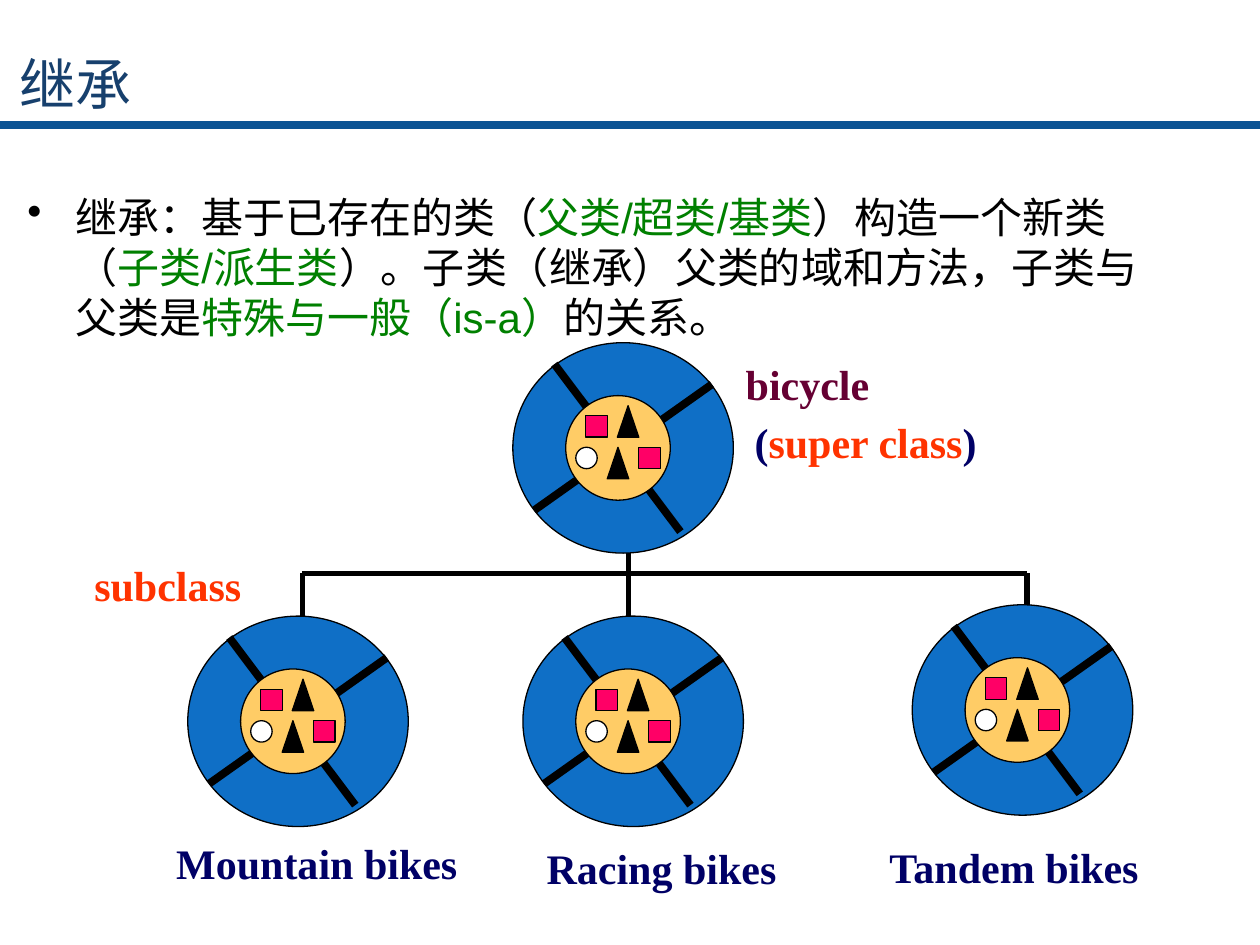
from lxml import etree
from pptx import Presentation
from pptx.dml.color import RGBColor
from pptx.enum.shapes import MSO_CONNECTOR, MSO_SHAPE
from pptx.enum.text import MSO_ANCHOR, PP_ALIGN
from pptx.oxml.ns import qn
from pptx.util import Inches, Pt

STRAIGHT = MSO_CONNECTOR.STRAIGHT
ELLIPSE = MSO_SHAPE.OVAL
SQUARE = MSO_SHAPE.RECTANGLE
TRIANGLE = MSO_SHAPE.ISOSCELES_TRIANGLE
MIDDLE = MSO_ANCHOR.MIDDLE
CENTER = PP_ALIGN.CENTER

BLACK, GREEN, NAVY, ORANGE = "000000", "008000", "000066", "FF3300"
CHINESE_FONT = "Noto Sans CJK SC"
LABEL_FONT = "Times New Roman"

SPOKES = [((0.17, 1.33), (1.58, 0.33)), ((0.33, 0.17), (1.33, 1.5))]
WHEEL_PARTS = [
    (SQUARE, 0.58, 0.58, 0.17, 0.17, "FF0066"),
    (TRIANGLE, 0.75, 0.83, 0.17, 0.25, BLACK),
    (TRIANGLE, 0.83, 0.5, 0.17, 0.25, BLACK),
    (SQUARE, 1.0, 0.83, 0.17, 0.17, "FF0066"),
    (ELLIPSE, 0.5, 0.83, 0.17, 0.17, "FFFFFF"),
]
WHEELS = [(4.07, 2.72), (1.49, 4.89), (4.15, 4.89), (7.24, 4.8)]
TREE_LINES = [
    ((2.4, 4.55), (8.15, 4.55)),
    ((4.99, 4.39), (4.99, 4.89)),
    ((2.4, 4.55), (2.4, 4.89)),
    ((8.15, 4.55), (8.15, 4.8)),
]
LABELS = [
    (5.82, 2.8, 1.18, [("bicycle", "660033")]),
    (5.89, 3.26, 1.97, [("(", NAVY), ("super class", ORANGE), (")", NAVY)]),
    (1.3, 6.6, 2.43, [("Mountain bikes", NAVY)]),
    (4.24, 6.64, 2.03, [("Racing bikes", NAVY)]),
    (6.96, 6.63, 2.21, [("Tandem bikes", NAVY)]),
    (0.65, 4.39, 1.37, [("subclass", ORANGE)]),
]
DEFINITION = [
    ("继承：基于已存在的类（", BLACK),
    ("父类/超类/基类", GREEN),
    ("）构造一个新类（", BLACK),
    ("子类/派生类", GREEN),
    ("）。子类（继承）父类的域和方法，子类与父类是", BLACK),
    ("特殊与一般（is-a）", GREEN),
    ("的关系。", BLACK),
]


def color(value):
    """Turn a hex string into a colour."""
    return RGBColor.from_string(value)


def add_line(shapes, start, end, line_color, width):
    """Add a straight line without shadow."""
    line = shapes.add_connector(STRAIGHT, *map(Inches, start + end))
    line.line.color.rgb = color(line_color)
    line.line.width = Pt(width)
    etree.SubElement(line._element.spPr, qn("a:effectLst"))


def add_filled_shape(shapes, kind, left, top, width, height, fill):
    """Add a filled shape with a thin black outline."""
    shape = shapes.add_shape(kind, *map(Inches, (left, top, width, height)))
    shape.shadow.inherit = False
    shape.fill.solid()
    shape.fill.fore_color.rgb = color(fill)
    shape.line.color.rgb = color(BLACK)
    shape.line.width = Pt(0.75)


def add_wheel(slide, left, top):
    """Add a grouped wheel whose rim starts at the given corner."""
    shapes = slide.shapes.add_group_shape().shapes
    add_filled_shape(shapes, ELLIPSE, left, top, 1.75, 1.67, "0F6FC6")
    for (x1, y1), (x2, y2) in SPOKES:
        add_line(shapes, (left + x1, top + y1), (left + x2, top + y2), BLACK, 4.5)
    add_filled_shape(shapes, ELLIPSE, left + 0.42, top + 0.42, 0.83, 0.83, "FFCC66")
    for kind, x, y, width, height, fill in WHEEL_PARTS:
        add_filled_shape(shapes, kind, left + x, top + y, width, height, fill)


def add_text(slide, box, runs, size, font, wrap=True):
    """Add a text box with one paragraph of coloured runs."""
    frame = slide.shapes.add_textbox(*map(Inches, box)).text_frame
    frame.word_wrap = wrap
    paragraph = frame.paragraphs[0]
    paragraph.font.size = Pt(size)
    paragraph.font.name = font
    for text, run_color in runs:
        run = paragraph.add_run()
        run.text = text
        run.font.color.rgb = color(run_color)
    return frame


def set_chinese_font(paragraph):
    """Set the East Asian typeface of every run."""
    for run in paragraph.runs:
        properties = run._r.get_or_add_rPr()
        etree.SubElement(properties, qn("a:ea"), typeface=CHINESE_FONT)


def add_title(slide):
    """Add the slide title."""
    frame = add_text(slide, (-2.87, 0.45, 6.94, 0.42), [("继承", "17406D")], 32, CHINESE_FONT)
    frame.vertical_anchor = MIDDLE
    paragraph = frame.paragraphs[0]
    paragraph.alignment = CENTER
    set_chinese_font(paragraph)


def add_definition(slide):
    """Add the bulleted definition of inheritance."""
    frame = add_text(slide, (0.12, 1.47, 9.14, 1.3), DEFINITION, 24, "Arial")
    paragraph = frame.paragraphs[0]
    paragraph.line_spacing = Pt(28.6)
    set_chinese_font(paragraph)
    properties = paragraph._p.get_or_add_pPr()
    properties.set("marL", str(Inches(0.38)))
    properties.set("indent", str(Inches(-0.38)))
    bullet = etree.Element(qn("a:buChar"), char="•")
    properties.find(qn("a:defRPr")).addprevious(bullet)


def main():
    """Build the inheritance slide."""
    presentation = Presentation()
    presentation.slide_width = Inches(10)
    presentation.slide_height = Inches(7.5)
    slide = presentation.slides.add_slide(presentation.slide_layouts[6])
    add_line(slide.shapes, (0, 0.99), (10, 0.99), "0B5394", 4.5)
    add_definition(slide)
    tree = slide.shapes.add_group_shape().shapes
    for start, end in TREE_LINES:
        add_line(tree, start, end, BLACK, 3)
    for left, top in WHEELS:
        add_wheel(slide, left, top)
    for left, top, width, runs in LABELS:
        frame = add_text(slide, (left, top, width, 0.5), runs, 24, LABEL_FONT, wrap=False)
        frame.paragraphs[0].font.bold = True
    add_title(slide)
    presentation.save("out.pptx")


if __name__ == "__main__":
    main()
